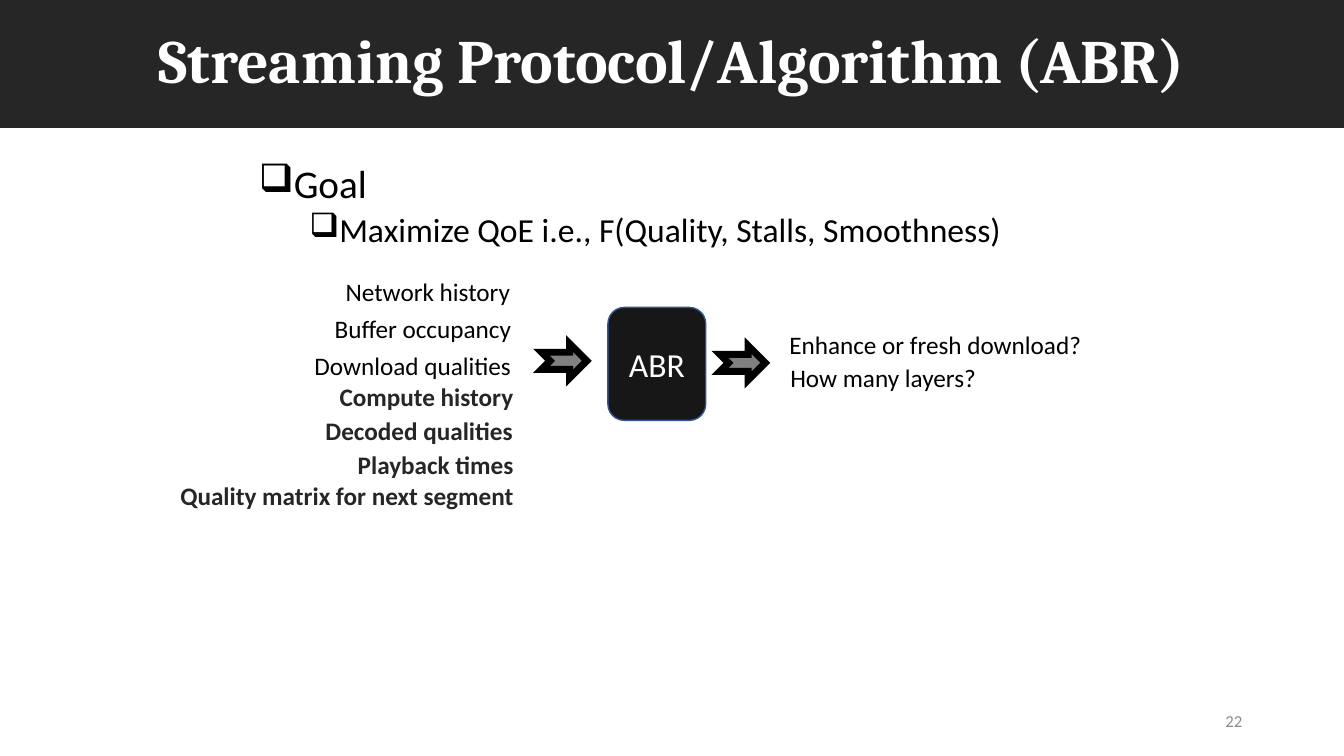
import dataclasses
import typing

import lxml.etree
import pptx
import pptx.dml.color
import pptx.enum.shapes
import pptx.enum.text
import pptx.oxml.ns
import pptx.util

Inches = pptx.util.Inches
Pt = pptx.util.Pt
Align = pptx.enum.text.PP_ALIGN
Anchor = pptx.enum.text.MSO_ANCHOR
Preset = pptx.enum.shapes.MSO_SHAPE

BLACK, CHARCOAL, WHITE = "000000", "262626", "FFFFFF"


@dataclasses.dataclass
class Label:
    text: str
    left: float
    top: float
    width: float
    color: str = BLACK
    bold: bool = False


@dataclasses.dataclass
class Bullet:
    text: str
    level: int
    size: int
    margin: float
    space_before: int


LABELS = [
    Label("Network history", 3.33, 2.69, 1.85),
    Label("Buffer occupancy", 3.22, 3.06, 1.98),
    Label("Download qualities", 3.02, 3.43, 2.18),
    Label("Compute history", 3.27, 3.73, 1.94, CHARCOAL, True),
    Label("Decoded qualities", 3.13, 4.07, 2.07, CHARCOAL, True),
    Label("Playback times", 3.45, 4.41, 1.76, CHARCOAL, True),
    Label("Quality matrix for next segment", 1.69, 4.72, 3.54, CHARCOAL, True),
    Label("Enhance or fresh download?", 7.73, 3.22, 3.13),
    Label("How many layers?", 7.74, 3.55, 2.06),
]
BULLETS = [
    Bullet("Goal", 0, 28, 0.25, 10),
    Bullet("Maximize QoE i.e., F(Quality, Stalls, Smoothness)", 1, 24, 0.75, 5),
]
ARROWS = [(5.37, 3.41), (7.14, 3.43)]


def rgb(color: str) -> pptx.dml.color.RGBColor:
    return pptx.dml.color.RGBColor.from_string(color)


def apply(target: typing.Any, values: dict[str, typing.Any]) -> None:
    for name, value in values.items():
        setattr(target, name, value)


def write(paragraph, text: str, size: int, color: str = BLACK,
          bold: bool = False, font: str = "Calibri", **layout) -> None:
    run = paragraph.add_run()
    run.text = text
    apply(run.font, {"name": font, "size": Pt(size), "bold": bold})
    run.font.color.rgb = rgb(color)
    apply(paragraph, layout)


def add_text_frame(slide, left: float, top: float, width: float, height: float,
                   **layout):
    box = slide.shapes.add_textbox(
        Inches(left), Inches(top), Inches(width), Inches(height))
    apply(box.text_frame, {"word_wrap": True, **layout})
    return box.text_frame


def add_box(slide, preset, left: float, top: float, width: float, height: float,
            fill: str, line: str, line_width: float):
    shape = slide.shapes.add_shape(
        preset, Inches(left), Inches(top), Inches(width), Inches(height))
    shape.shadow.inherit = False
    shape.fill.solid()
    shape.fill.fore_color.rgb = rgb(fill)
    shape.line.color.rgb = rgb(line)
    shape.line.width = Pt(line_width)
    return shape


def add_title(slide, text: str) -> None:
    title = slide.shapes.title
    apply(title, {"left": Inches(0), "top": Inches(0),
                  "width": Inches(13.33), "height": Inches(1.27)})
    title.fill.solid()
    title.fill.fore_color.rgb = rgb(CHARCOAL)
    apply(title.text_frame, {
        "vertical_anchor": Anchor.MIDDLE, "word_wrap": True,
        "auto_size": pptx.enum.text.MSO_AUTO_SIZE.NONE})
    write(title.text_frame.paragraphs[0], text, 44, WHITE, True, "Cambria",
          alignment=Align.CENTER, line_spacing=0.9)


def add_bullets(slide) -> None:
    frame = add_text_frame(slide, 2.47, 1.58, 8.4, 1.12)
    for index, bullet in enumerate(BULLETS):
        paragraph = frame.add_paragraph() if index else frame.paragraphs[0]
        write(paragraph, bullet.text, bullet.size, level=bullet.level,
              line_spacing=0.9, space_before=Pt(bullet.space_before))
        properties = paragraph._p.get_or_add_pPr()
        properties.set("marL", str(Inches(bullet.margin)))
        properties.set("indent", str(Inches(-0.25)))
        mark = lxml.etree.SubElement(properties, pptx.oxml.ns.qn("a:buChar"))
        mark.set("char", "❑")


def add_arrow(slide, left: float, top: float) -> None:
    arrow = add_box(slide, Preset.NOTCHED_RIGHT_ARROW, left, top, 0.45, 0.34,
                    "808080", BLACK, 5)
    # Sharp corners on the thick outline
    miter = lxml.etree.SubElement(
        arrow.line._get_or_add_ln(), pptx.oxml.ns.qn("a:miter"))
    miter.set("lim", "800000")


def main() -> None:
    presentation = pptx.Presentation()
    presentation.slide_width = Inches(13.33)
    presentation.slide_height = Inches(7.5)
    slide = presentation.slides.add_slide(presentation.slide_layouts[5])

    # Title band and goal
    add_title(slide, "Streaming Protocol/Algorithm (ABR)")
    add_bullets(slide)

    # ABR block with its arrows
    block = add_box(slide, Preset.ROUNDED_RECTANGLE, 6.03, 3.05, 0.97, 1.12,
                    "181717", "325491", 1)
    block.text_frame.vertical_anchor = Anchor.MIDDLE
    write(block.text_frame.paragraphs[0], "ABR", 24, WHITE,
          alignment=Align.CENTER)
    for left, top in ARROWS:
        add_arrow(slide, left, top)

    # Inputs and outputs
    for label in LABELS:
        frame = add_text_frame(
            slide, label.left, label.top, label.width, 0.4, word_wrap=False,
            auto_size=pptx.enum.text.MSO_AUTO_SIZE.SHAPE_TO_FIT_TEXT)
        write(frame.paragraphs[0], label.text, 18, label.color, label.bold)

    # Slide number
    frame = add_text_frame(slide, 9.42, 6.95, 3, 0.4,
                           vertical_anchor=Anchor.MIDDLE)
    write(frame.paragraphs[0], "22", 12, "8C8C8C", alignment=Align.RIGHT)

    presentation.save("out.pptx")


if __name__ == "__main__":
    main()
